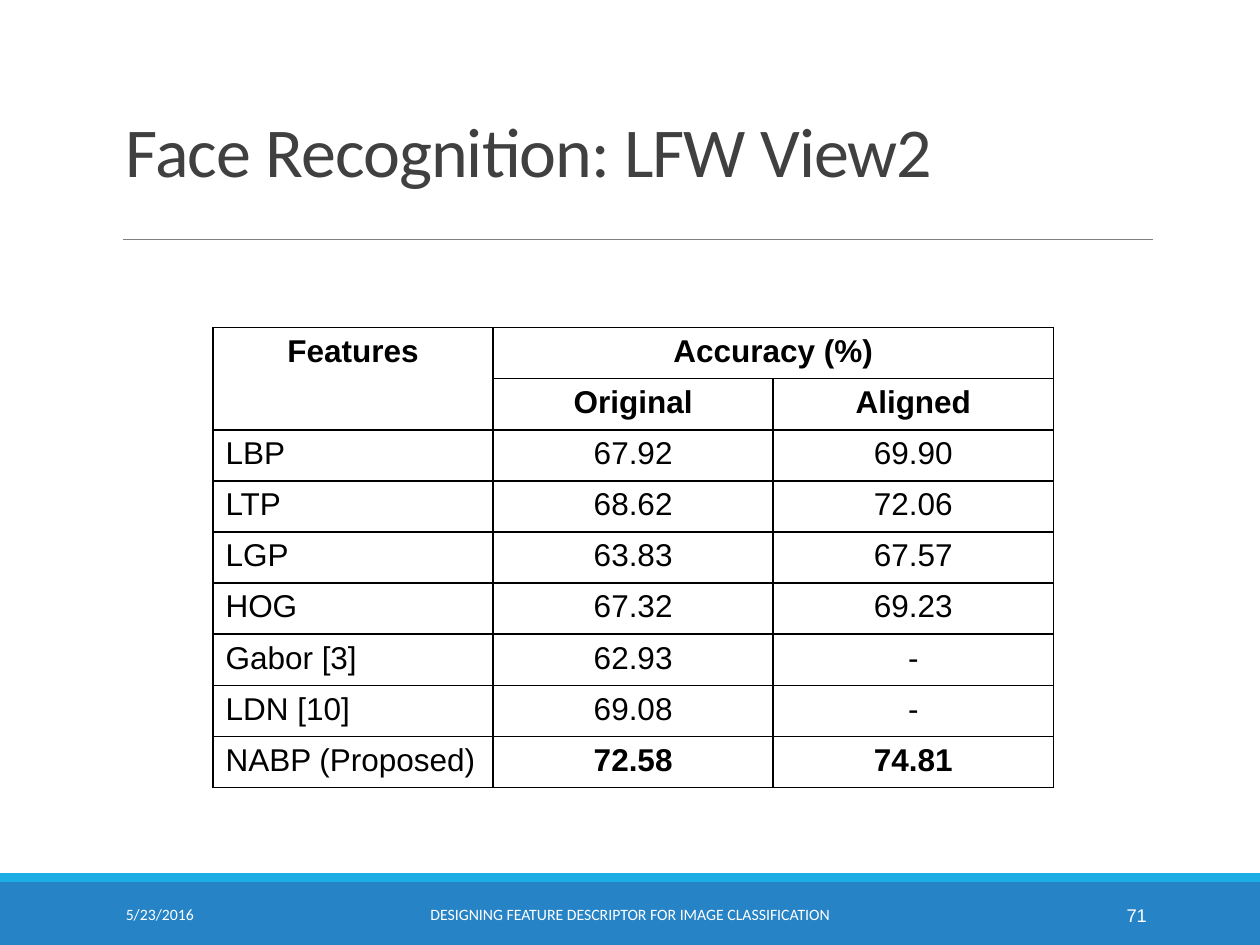
"""Build the LFW View2 face recognition results slide."""
from lxml import etree
from pptx import Presentation
from pptx.dml.color import RGBColor
from pptx.enum.shapes import MSO_CONNECTOR, MSO_SHAPE
from pptx.enum.text import MSO_ANCHOR, PP_ALIGN
from pptx.oxml import parse_xml
from pptx.oxml.ns import nsdecls, qn
from pptx.util import Inches, Pt

BLUE = RGBColor(0x26, 0x83, 0xC6)
CYAN = RGBColor(0x1C, 0xAD, 0xE4)
GRAY = RGBColor(0x80, 0x80, 0x80)
DARK = RGBColor(0x40, 0x40, 0x40)
WHITE = RGBColor(0xFF, 0xFF, 0xFF)
BLACK = RGBColor(0x00, 0x00, 0x00)
LEFT, CENTER, RIGHT = PP_ALIGN.LEFT, PP_ALIGN.CENTER, PP_ALIGN.RIGHT
MIDDLE, BOTTOM = MSO_ANCHOR.MIDDLE, MSO_ANCHOR.BOTTOM
RECTANGLE, STRAIGHT = MSO_SHAPE.RECTANGLE, MSO_CONNECTOR.STRAIGHT


def write(para, text, align, color, font_format):
    para.alignment = align
    span = para.add_run()
    span.text = text
    span.font.color.rgb = color
    for name, value in font_format.items():
        setattr(span.font, name, value)
    return span


def add_text(page, place, text, align, anchor, color, font_format):
    box = page.shapes.add_textbox(*map(Inches, place))
    box.text_frame.word_wrap = True
    box.text_frame.vertical_anchor = anchor
    para = box.text_frame.paragraphs[0]
    return para, write(para, text, align, color, font_format)


deck = Presentation()
deck.slide_width, deck.slide_height = Inches(10), Inches(7.5)
page = deck.slides.add_slide(deck.slide_layouts[6])

for top, height, color in ((7, 0.5, BLUE), (6.93, 0.07, CYAN)):
    band = page.shapes.add_shape(RECTANGLE, 0, Inches(top), Inches(10), Inches(height))
    band.shadow.inherit = False
    band.fill.solid()
    band.fill.fore_color.rgb = color
    band.line.fill.background()

rule = page.shapes.add_connector(STRAIGHT, Inches(0.98), Inches(1.9), Inches(9.15), Inches(1.9))
rule.line.color.rgb = GRAY
rule.line.width = Pt(0.5)
etree.SubElement(rule._element.spPr, qn("a:effectLst"))

title_para, title_span = add_text(
    page, (0.9, 0.31, 8.25, 1.26), "Face Recognition: LFW View2", LEFT, BOTTOM, DARK,
    {"size": Pt(40), "name": "Calibri"})
title_para.line_spacing = 0.85
title_span.font._element.set("spc", "-50")

FOOTERS = (
    (0.9, 2.03, "5/23/2016", LEFT, "Calibri", 9),
    (3.02, 3.96, "DESIGNING FEATURE DESCRIPTOR FOR IMAGE CLASSIFICATION", CENTER, "Calibri", 9),
    (8.12, 1.08, "71", RIGHT, "Arial", 10.5),
)
for left, width, text, align, font, size in FOOTERS:
    add_text(page, (left, 7.06, width, 0.4), text, align, MIDDLE, WHITE,
             {"size": Pt(size), "name": font})

ROWS = (
    ("Features", "Accuracy (%)", ""),
    ("", "Original", "Aligned"),
    ("LBP", "67.92", "69.90"),
    ("LTP", "68.62", "72.06"),
    ("LGP", "63.83", "67.57"),
    ("HOG", "67.32", "69.23"),
    ("Gabor [3]", "62.93", "-"),
    ("LDN [10]", "69.08", "-"),
    ("NABP (Proposed)", "72.58", "74.81"),
)
HEADER_ROWS = 2
LAST_ROW = len(ROWS) - 1
frame = page.shapes.add_table(len(ROWS), 3, Inches(1.69), Inches(2.6), Inches(6.67), Inches(3.65))
table = frame.table
table.first_row = table.horz_banding = False
table.cell(0, 0).merge(table.cell(1, 0))
table.cell(0, 1).merge(table.cell(0, 2))

for row, texts in enumerate(ROWS):
    for column, text in enumerate(texts):
        cell = table.cell(row, column)
        properties = cell._tc.get_or_add_tcPr()
        for side in ("lnL", "lnR", "lnT", "lnB"):
            properties.append(parse_xml(
                f'<a:{side} {nsdecls("a")} w="12700"><a:solidFill>'
                f'<a:srgbClr val="{BLACK}"/></a:solidFill></a:{side}>'))
        cell.fill.background()
        if text:
            is_header = row < HEADER_ROWS
            is_best = row == LAST_ROW and column > 0
            align = CENTER if is_header or column > 0 else LEFT
            write(cell.text_frame.paragraphs[0], text, align, BLACK,
                  {"size": Pt(18), "name": "Arial", "bold": is_header or is_best})

deck.save("out.pptx")
